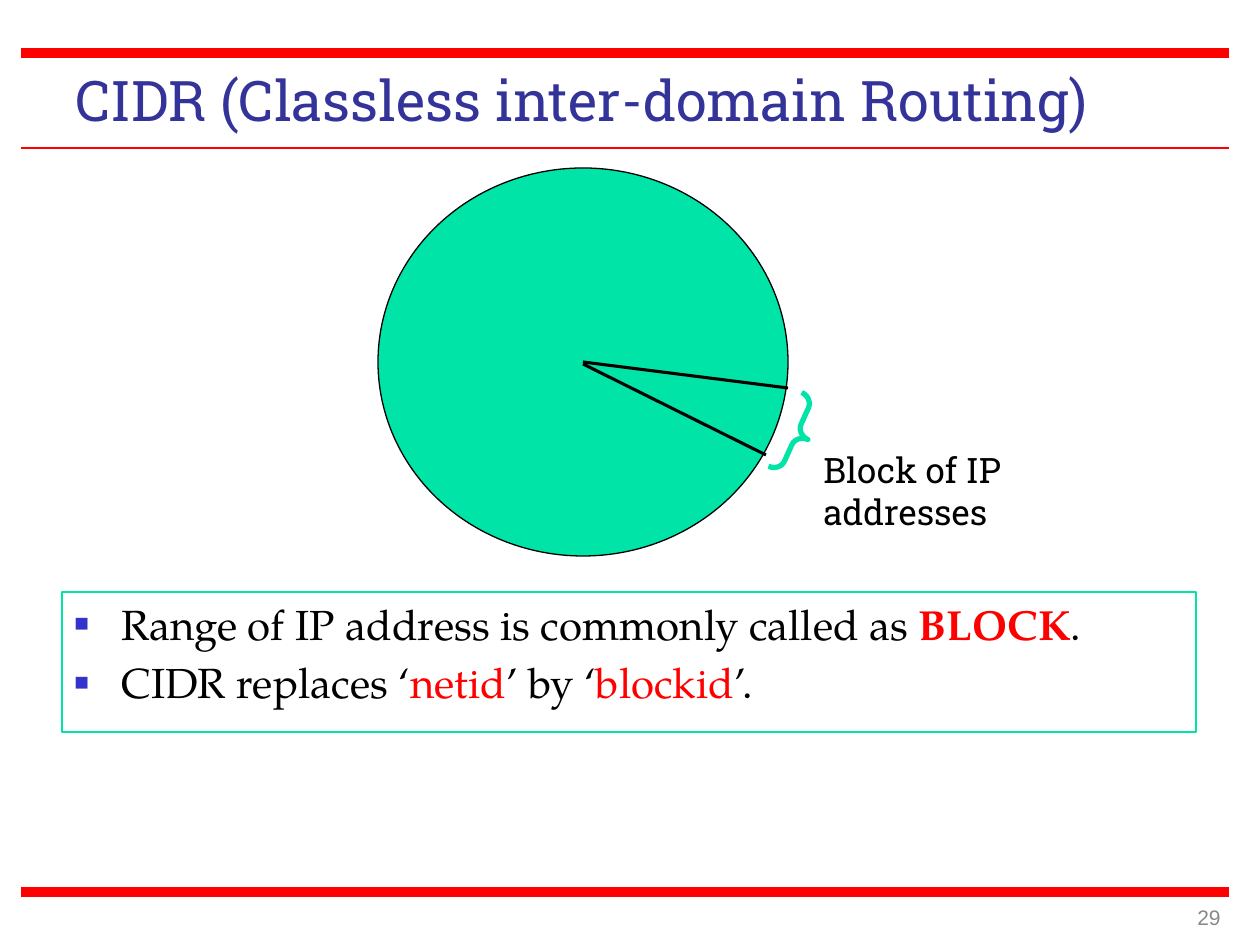
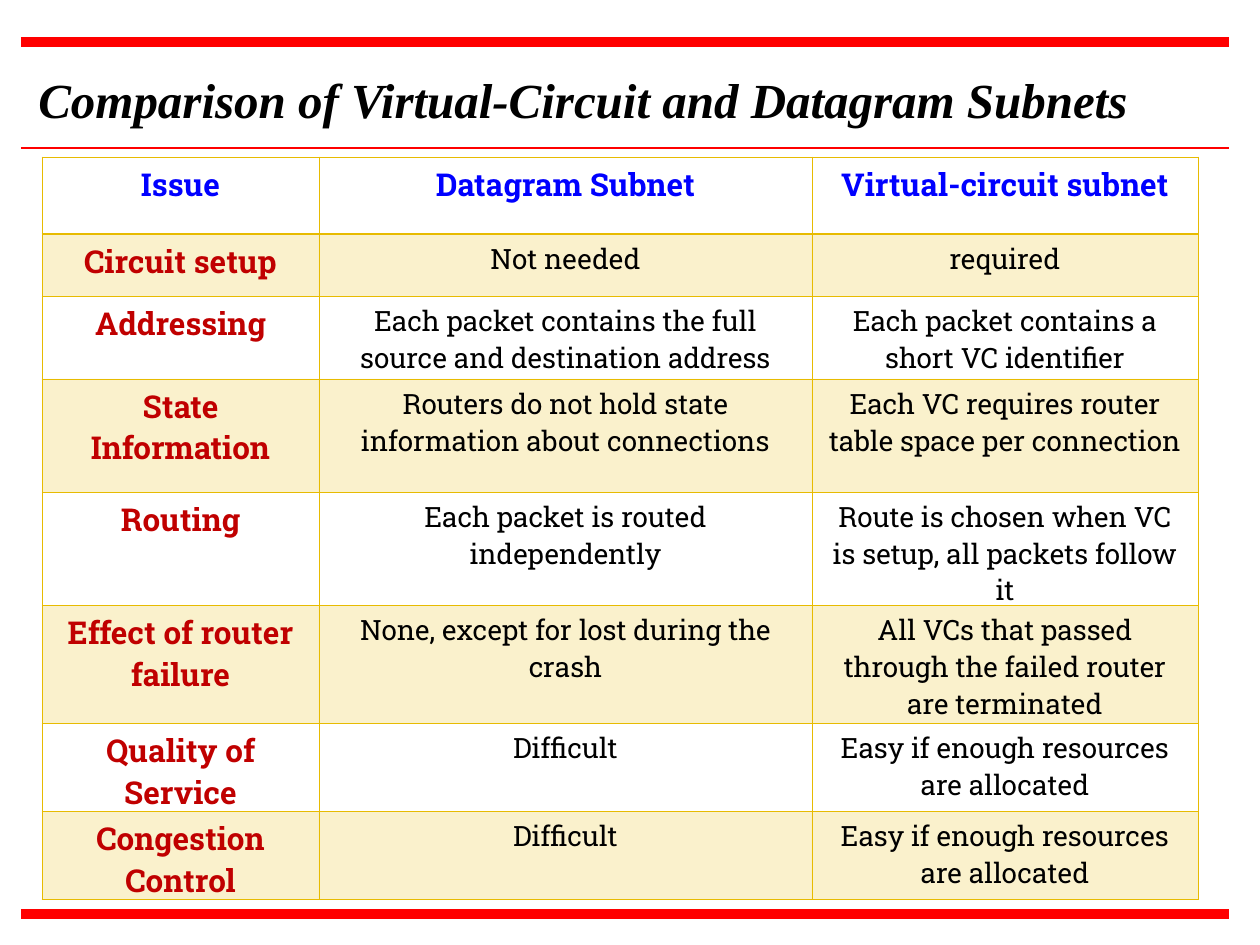
from lxml.etree import SubElement
from pptx import Presentation
from pptx.dml.color import RGBColor
from pptx.enum.shapes import MSO_CONNECTOR, MSO_SHAPE
from pptx.enum.text import MSO_ANCHOR, PP_ALIGN
from pptx.oxml.ns import qn
from pptx.util import Emu, Pt

PX_PER_INCH = 126
COLOURS = {
    "rule": "FF0000",
    "accent": "FF0000",
    "title": "333399",
    "bullet": "3333CC",
    "green": "00E4A8",
    "gold": "E7BB01",
    "header": "0000FF",
    "issue": "C00000",
    "black": "000000",
    "grey": "898989",
}
SLAB, SERIF, BOOK, SANS = "Roboto Slab", "Times New Roman", "TeX Gyre Pagella", "Arial"

COLUMN_WIDTHS = [277, 493, 386]
ROW_HEIGHTS = [77, 62, 83, 113, 113, 118, 88, 88]
COMPARISON = [
    ("Issue", "Datagram Subnet", "Virtual-circuit subnet"),
    ("Circuit setup", "Not needed", "required"),
    ("Addressing", "Each packet contains the full source and destination address",
     "Each packet contains a short VC identifier"),
    ("State Information", "Routers do not hold state information about connections",
     "Each VC requires router table space per connection"),
    ("Routing", "Each packet is routed independently",
     "Route is chosen when VC is setup, all packets follow it"),
    ("Effect of router failure", "None, except for lost during the crash",
     "All VCs that passed through the failed router are terminated"),
    ("Quality of Service", "Difficult", "Easy if enough resources are allocated"),
    ("Congestion Control", "Difficult", "Easy if enough resources are allocated"),
]
BLOCK_NOTES = [
    [("Range of IP address is commonly called as ", "black", False),
     ("BLOCK", "accent", True), (".", "black", False)],
    [("CIDR replaces ‘", "black", False), ("netid", "accent", False),
     ("’ by ‘", "black", False), ("blockid", "accent", False), ("’.", "black", False)],
]


def px(length):
    return Emu(round(length * 914400 / PX_PER_INCH))


def colour(name):
    return RGBColor.from_string(COLOURS[name])


def style(span, font, size, tint, bold=False, italic=False):
    span.font.name = font
    span.font.size = Pt(size)
    span.font.color.rgb = colour(tint)
    span.font.bold = bold
    span.font.italic = italic


# Lines and shapes
def add_line(page, start, end, tint, width):
    line = page.shapes.add_connector(MSO_CONNECTOR.STRAIGHT, *map(px, start + end))
    line.line.color.rgb = colour(tint)
    line.line.width = Pt(width)
    SubElement(line._element.spPr, qn("a:effectLst"))


def add_rules(page, top, bottom):
    for y, width in ((top, 6), (148, 1.5), (bottom, 6)):
        add_line(page, (21, y), (1229, y), "rule", width)


def add_outline(page, kind, area, tint, width, fill=None):
    shape = page.shapes.add_shape(kind, *map(px, area))
    shape.shadow.inherit = False
    shape.line.color.rgb = colour(tint)
    shape.line.width = Pt(width)
    if fill:
        shape.fill.solid()
        shape.fill.fore_color.rgb = colour(fill)
    else:
        shape.fill.background()
    return shape


# Text
def add_text(page, area, text, font, size, tint, bold=False, italic=False,
             wrap=True, align=PP_ALIGN.LEFT, anchor=MSO_ANCHOR.TOP):
    frame = page.shapes.add_textbox(*map(px, area)).text_frame
    frame.word_wrap = wrap
    frame.vertical_anchor = anchor
    frame.text = text
    para = frame.paragraphs[0]
    para.alignment = align
    style(para.runs[0], font, size, tint, bold, italic)


def add_bullet(para):
    properties = para._p.get_or_add_pPr()
    properties.set("marL", str(px(47)))
    properties.set("indent", str(-px(47)))
    tint = SubElement(properties, qn("a:buClr"))
    SubElement(tint, qn("a:srgbClr"), val=COLOURS["bullet"])
    SubElement(properties, qn("a:buSzPct"), val="58000")
    SubElement(properties, qn("a:buFont"), typeface=SANS)
    SubElement(properties, qn("a:buChar"), char="■")


def add_bullet_box(page, area, notes):
    box = add_outline(page, MSO_SHAPE.RECTANGLE, area, "green", 0.75)
    frame = box.text_frame
    frame.word_wrap = True
    frame.vertical_anchor = MSO_ANCHOR.TOP
    for index, spans in enumerate(notes):
        para = frame.add_paragraph() if index else frame.paragraphs[0]
        add_bullet(para)
        para.alignment = PP_ALIGN.LEFT
        if index:
            para.space_before = Pt(4.8)
        for text, tint, bold in spans:
            span = para.add_run()
            span.text = text
            style(span, BOOK, 24, tint, bold)


# Table
def add_borders(cell, row):
    properties = cell._tc.get_or_add_tcPr()
    for side in ("lnL", "lnR", "lnT", "lnB"):
        under_header = (row, side) in ((0, "lnB"), (1, "lnT"))
        width = Pt(0.96 if under_header else 0.45)
        border = SubElement(properties, qn("a:" + side), w=str(width))
        fill = SubElement(border, qn("a:solidFill"))
        SubElement(fill, qn("a:srgbClr"), val=COLOURS["gold"])


def fill_cell(cell, shaded):
    if not shaded:
        cell.fill.background()
        return
    cell.fill.solid()
    cell.fill.fore_color.rgb = colour("gold")
    tint = cell._tc.tcPr.find(qn("a:solidFill")).find(qn("a:srgbClr"))
    SubElement(tint, qn("a:alpha"), val="20000")


def add_comparison(page, left, top):
    area = (left, top, sum(COLUMN_WIDTHS), sum(ROW_HEIGHTS))
    table = page.shapes.add_table(len(ROW_HEIGHTS), len(COLUMN_WIDTHS), *map(px, area)).table
    table.first_row = table.horz_banding = False
    for column, width in zip(table.columns, COLUMN_WIDTHS):
        column.width = px(width)
    for row, (height, texts) in enumerate(zip(ROW_HEIGHTS, COMPARISON)):
        table.rows[row].height = px(height)
        for column, text in enumerate(texts):
            cell = table.cell(row, column)
            add_borders(cell, row)
            fill_cell(cell, row % 2 == 1)
            cell.text_frame.text = text
            para = cell.text_frame.paragraphs[0]
            para.alignment = PP_ALIGN.CENTER
            heading = row == 0 or column == 0
            tint = "header" if row == 0 else "issue" if heading else "black"
            style(para.runs[0], SLAB, 18 if heading else 16, tint, heading)


# Slides
def build_cidr(page):
    add_text(page, (63, 59, 1134, 78), "CIDR (Classless inter-domain Routing)",
             SLAB, 32, "title")
    add_bullet_box(page, (62, 592, 1134, 140), BLOCK_NOTES)
    add_outline(page, MSO_SHAPE.OVAL, (378, 168, 410, 388), "black", 0.75, "green")
    add_line(page, (583, 362), (788, 388), "black", 1.75)
    add_line(page, (583, 364), (766, 455), "black", 1.75)
    add_rules(page, 53, 892)
    add_text(page, (949, 892, 284, 50), "29", SANS, 12, "grey",
             align=PP_ALIGN.RIGHT, anchor=MSO_ANCHOR.MIDDLE)
    brace = add_outline(page, MSO_SHAPE.RIGHT_BRACE, (784, 394, 25, 81), "green", 3)
    brace.rotation = 24.2
    brace.adjustments[0] = 0.45
    add_text(page, (811, 442, 215, 97), "Block of IP addresses", SLAB, 20, "black")


def build_comparison(page):
    add_rules(page, 42, 914)
    add_text(page, (26, 63, 1116, 72), "Comparison of Virtual-Circuit and Datagram Subnets",
             SERIF, 28, "black", bold=True, italic=True, wrap=False)
    add_comparison(page, 42, 157)


def main():
    deck = Presentation()
    deck.slide_width, deck.slide_height = px(1260), px(945)
    for build in (build_cidr, build_comparison):
        build(deck.slides.add_slide(deck.slide_layouts[6]))
    deck.save("out.pptx")


if __name__ == "__main__":
    main()
